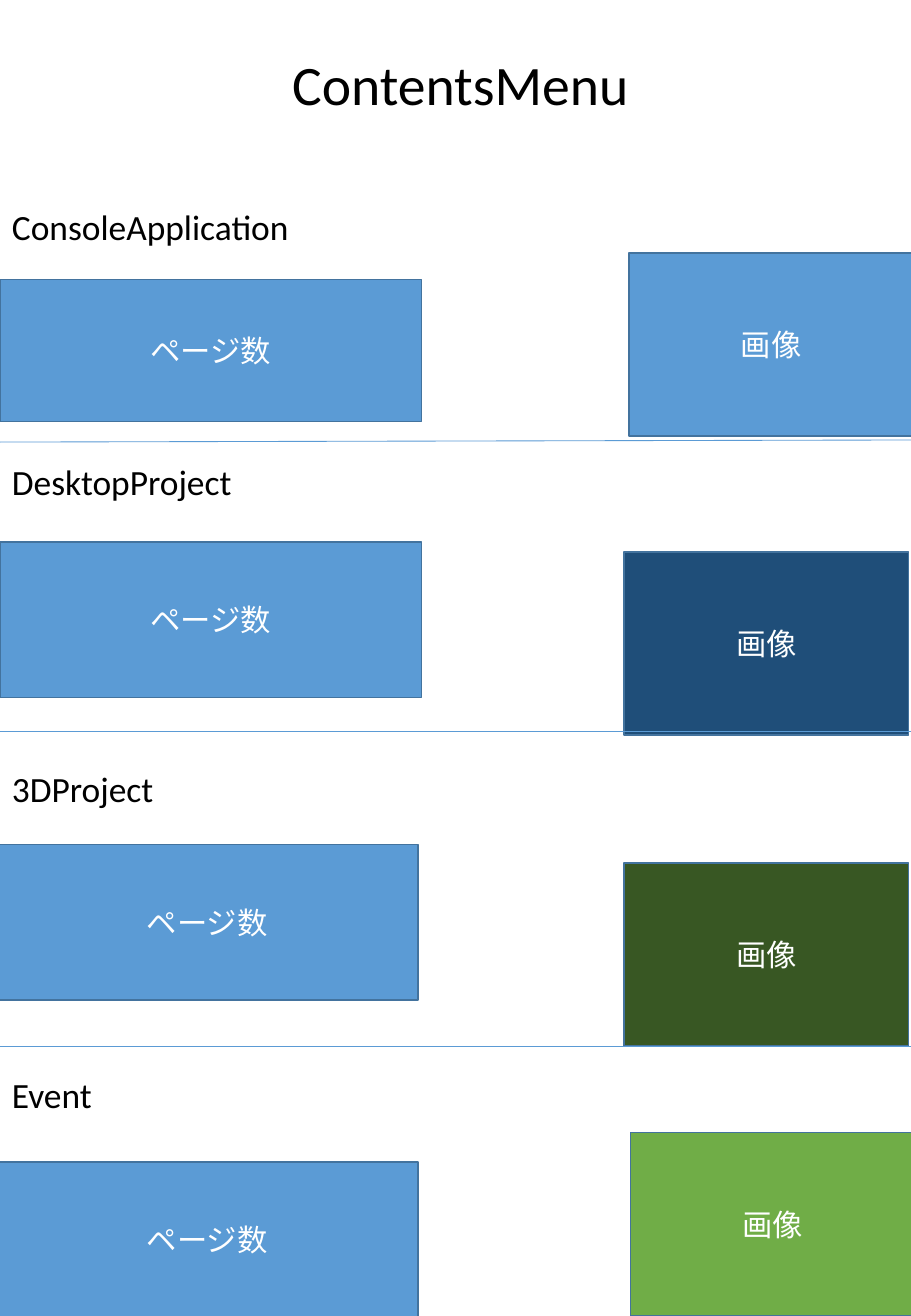
from dataclasses import dataclass

from lxml.etree import SubElement
from pptx import Presentation
from pptx.dml.color import RGBColor
from pptx.enum.shapes import MSO_CONNECTOR, MSO_SHAPE
from pptx.enum.text import MSO_ANCHOR, PP_ALIGN
from pptx.oxml.ns import qn
from pptx.shapes.autoshape import Shape
from pptx.slide import Slide
from pptx.util import Inches, Pt

COLORS = {
    "text": "000000",
    "label": "FFFFFF",
    "blue": "5B9BD5",
    "navy": "1F4E79",
    "forest": "385723",
    "green": "70AD47",
    "outline": "43739E",
}
FONT = "Calibri"
HEADING_TOP = 1.68
HEADING_PITCH = 0.42
PANEL_WIDTH = 3.47
IMAGE_SIZE = (2.34, 1.51)


@dataclass(frozen=True)
class Panel:
    label: str
    left: float
    top: float
    width: float
    height: float
    color: str = "blue"


@dataclass(frozen=True)
class Section:
    heading: str
    row: int
    pages: Panel
    image: Panel


@dataclass(frozen=True)
class Divider:
    start: tuple[float, float]
    end: tuple[float, float]


def page_panel(left: float, top: float, height: float = 1.28) -> Panel:
    return Panel("ページ数", left, top, PANEL_WIDTH, height)


def image_panel(left: float, top: float, color: str) -> Panel:
    return Panel("画像", left, top, *IMAGE_SIZE, color)


SECTIONS = [
    Section("ConsoleApplication", 0, page_panel(0, 2.3, 1.17),
            image_panel(5.18, 2.08, "blue")),
    Section("DesktopProject", 5, page_panel(0, 4.46),
            image_panel(5.14, 4.54, "navy")),
    Section("3DProject", 11, page_panel(-0.03, 6.95),
            image_panel(5.14, 7.1, "forest")),
    Section("Event", 17, page_panel(-0.03, 9.56),
            image_panel(5.19, 9.32, "green")),
]
DIVIDERS = [
    Divider((-0.78, 3.64), (7.97, 3.62)),
    Divider((-1.27, 6.02), (7.97, 6.02)),
    Divider((-1.14, 8.61), (8.1, 8.61)),
]


def rgb(name: str) -> RGBColor:
    return RGBColor.from_string(COLORS[name])


def write(box: Shape, text: str, size: float, color: str,
          align: PP_ALIGN, anchor: MSO_ANCHOR, spacing: float) -> None:
    frame = box.text_frame
    frame.word_wrap = True
    frame.vertical_anchor = anchor
    para = frame.paragraphs[0]
    para.alignment = align
    para.line_spacing = spacing
    span = para.add_run()
    span.text = text
    for name, value in {"name": FONT, "size": Pt(size)}.items():
        setattr(span.font, name, value)
    span.font.color.rgb = rgb(color)


def add_text(page: Slide, text: str, place: tuple[float, float, float, float],
             size: float, align: PP_ALIGN, anchor: MSO_ANCHOR) -> None:
    box = page.shapes.add_textbox(*map(Inches, place))
    write(box, text, size, "text", align, anchor, 0.9)


def add_panel(page: Slide, panel: Panel) -> None:
    place = (panel.left, panel.top, panel.width, panel.height)
    box = page.shapes.add_shape(MSO_SHAPE.RECTANGLE, *map(Inches, place))
    box.shadow.inherit = False
    box.fill.solid()
    box.fill.fore_color.rgb = rgb(panel.color)
    box.line.color.rgb = rgb("outline")
    box.line.width = Pt(1)
    write(box, panel.label, 18, "label", PP_ALIGN.CENTER, MSO_ANCHOR.MIDDLE, 1.0)


def add_divider(page: Slide, divider: Divider) -> None:
    ends = map(Inches, divider.start + divider.end)
    line = page.shapes.add_connector(MSO_CONNECTOR.STRAIGHT, *ends)
    line.line.color.rgb = rgb("blue")
    line.line.width = Pt(0.5)
    SubElement(line._element.spPr, qn("a:effectLst"))


def main() -> None:
    deck = Presentation()
    deck.slide_width, deck.slide_height = Inches(7.5), Inches(10.83)
    page = deck.slides.add_slide(deck.slide_layouts[6])

    add_text(page, "ContentsMenu", (0.39, 0.23, 6.8, 0.98), 33,
             PP_ALIGN.CENTER, MSO_ANCHOR.MIDDLE)
    for section in SECTIONS:
        top = HEADING_TOP + section.row * HEADING_PITCH
        add_text(page, section.heading, (0, top, 5, HEADING_PITCH), 21,
                 PP_ALIGN.LEFT, MSO_ANCHOR.TOP)
        add_panel(page, section.pages)
        add_panel(page, section.image)
    for divider in DIVIDERS:
        add_divider(page, divider)

    deck.save("out.pptx")


if __name__ == "__main__":
    main()
